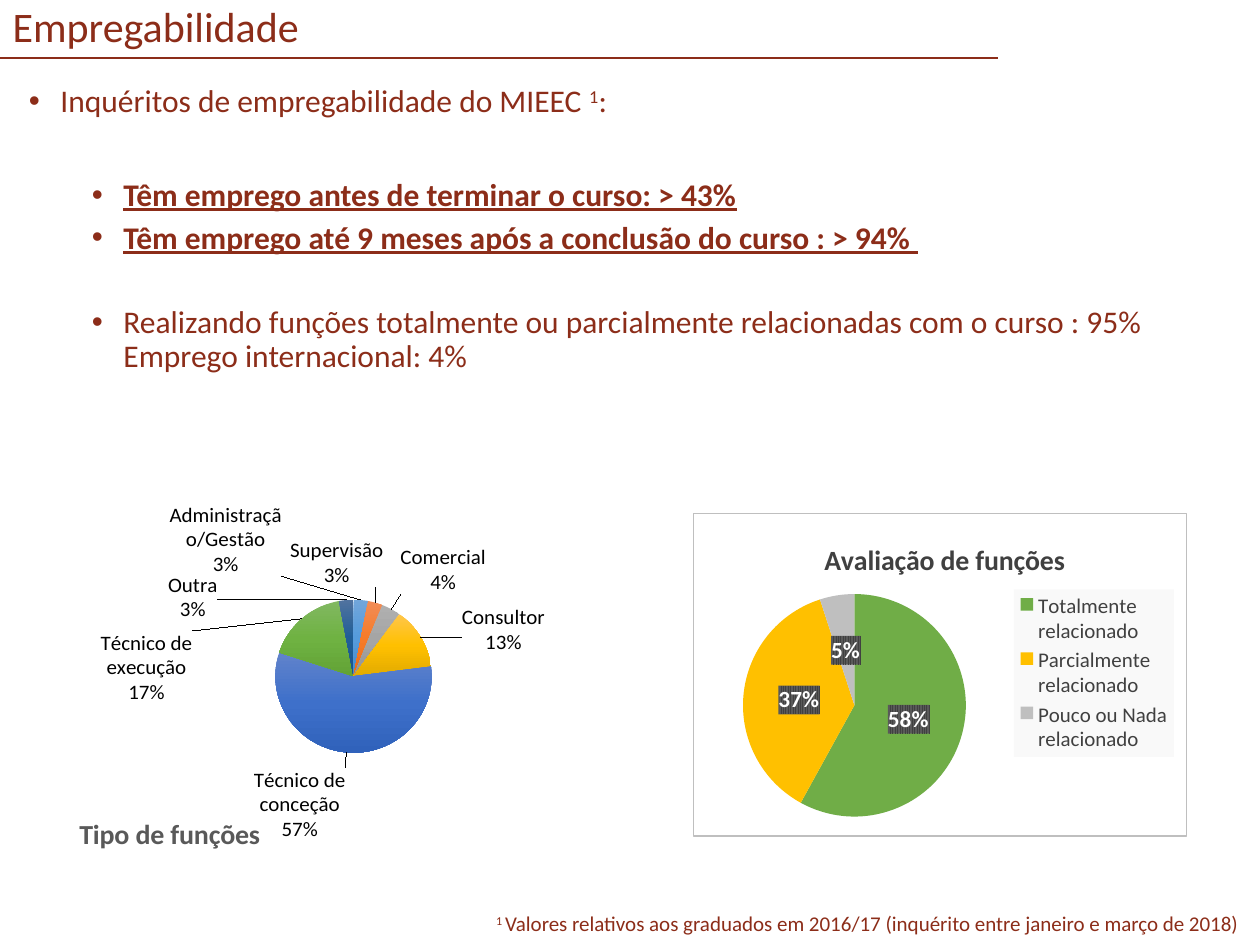
from copy import deepcopy

from pptx import Presentation
from pptx.chart.data import CategoryChartData
from pptx.dml.color import RGBColor
from pptx.enum import chart as ch, shapes, text
from pptx.oxml import parse_xml
from pptx.oxml.ns import nsdecls
from pptx.util import Inches, Pt

# Content
RED, FONT = "8C2D19", "Calibri"
TITLE = "Empregabilidade"
# level, space before, bold and underlined, runs as (text, superscript)
BULLETS = [
    (0, 0, False, [("Inquéritos de empregabilidade do MIEEC ", False), ("1", True), (":", False)]),
    (1, 34, True, [("Têm emprego antes de terminar o curso: > 43%", False)]),
    (1, 5, True, [("Têm emprego até 9 meses após a conclusão do curso : > 94% ", False)]),
    (1, 29, False, [("Realizando funções totalmente ou parcialmente relacionadas com o curso : 95% "
                     "Emprego internacional: 4%", False)]),
]
FOOTNOTE = [("1 ", True),
            ("Valores relativos aos graduados em 2016/17 (inquérito entre janeiro e março de 2018)", False)]
# category, percentage, gradient, label offset as a share of the chart
ROLES = [
    ("Administração/Gestão", 3, ("71A6DB", "559BDB", "448ACA"), (-0.33, -0.04)),
    ("Supervisão", 3, ("F18C57", "F67B28", "E56C19"), (-0.15, -0.02)),
    ("Comercial", 4, ("AFAFAF", "A5A5A5", "939393"), (0.01, -0.02)),
    ("Consultor", 13, ("FFC64B", "FFC000", "E3AB00"), (0.06, 0.05)),
    ("Técnico de conceção", 57, ("6183CB", "3E70CA", "3062BB"), (0, 0.02)),
    ("Técnico de execução", 17, ("81B861", "6FB242", "62A336"), (-0.18, 0.22)),
    ("Outra", 3, ("51739F", "205E97", "17548B"), (-0.22, 0.07)),
]
RATINGS = [
    ("Totalmente relacionado", 58, "70AD47"),
    ("Parcialmente relacionado", 37, "FFC000"),
    ("Pouco ou Nada relacionado", 5, "BFBFBF"),
]


def rgb(value):
    return RGBColor.from_string(value)


def style(font, size, color, bold=None):
    font.name, font.size, font.bold = FONT, Pt(size), bold
    font.color.rgb = rgb(color)


def add_runs(p, runs, size, bold=False):
    for words, superscript in runs:
        r = p.add_run()
        r.text = words
        style(r.font, size, RED, bold)
        r.font.underline = bold
        if superscript:
            r.font._element.set("baseline", "30000")


def place(shape, *box):
    shape.left, shape.top, shape.width, shape.height = map(Inches, box)


def layout_xml(x, y, w=None, h=None, inner=False, edge=True):
    parts = '<c:layoutTarget val="inner"/>' if inner else ""
    if edge:
        parts += '<c:xMode val="edge"/><c:yMode val="edge"/>'
    for tag, value in zip("xywh", (x, y, w, h)):
        if value is not None:
            parts += f'<c:{tag} val="{value}"/>'
    return parse_xml(f'<c:layout {nsdecls("c")}><c:manualLayout>{parts}</c:manualLayout></c:layout>')


def set_layout(parent, index, layout):
    for old in parent.xpath("./c:layout"):
        parent.remove(old)
    parent.insert(index, layout)


def add_pie(s, box, rows, title, title_color, title_at, pie_at):
    data = CategoryChartData()
    data.categories = [row[0] for row in rows]
    data.add_series("Series 1", [row[1] for row in rows])
    chart = s.shapes.add_chart(ch.XL_CHART_TYPE.PIE, *map(Inches, box), data).chart
    style(chart.font, 10, "000000")
    chart.has_legend = False
    chart.has_title = True
    chart.chart_title.text_frame.text = title
    style(chart.chart_title.text_frame.paragraphs[0].runs[0].font, 16, title_color, True)
    set_layout(chart.chart_title._element, 1, layout_xml(*title_at))
    set_layout(chart._chartSpace.xpath(".//c:plotArea")[0], 0, layout_xml(*pie_at, inner=True))
    plot = chart.plots[0]
    plot.vary_by_categories = True
    labels = plot.series[0].data_labels
    labels.show_percentage, labels.show_value = True, False
    labels.number_format, labels.number_format_is_linked = "0%", False
    return chart, plot.series[0], labels


prs = Presentation()
prs.slide_width, prs.slide_height = Inches(10), Inches(7.5)
s = prs.slides.add_slide(prs.slide_layouts[1])

# Title and rule
title, body = s.placeholders
place(title, 0, 0, 10, 0.46)
tf = title.text_frame
tf.text = TITLE
tf.auto_size, tf.vertical_anchor = text.MSO_AUTO_SIZE.NONE, text.MSO_ANCHOR.MIDDLE
p = tf.paragraphs[0]
p.alignment, p.line_spacing = text.PP_ALIGN.LEFT, 0.9
style(p.runs[0].font, 24, RED)
rule = s.shapes.add_connector(shapes.MSO_CONNECTOR.STRAIGHT, 0, Inches(0.46), Inches(7.92), Inches(0.46))
rule.line.color.rgb, rule.line.width = rgb(RED), Pt(1.5)
rule._element.spPr.append(parse_xml(f'<a:effectLst {nsdecls("a")}/>'))

# Bulleted list
place(body, 0.13, 0.63, 9.71, 6.68)
tf = body.text_frame
tf.auto_size = text.MSO_AUTO_SIZE.NONE
for i, (level, before, strong, runs) in enumerate(BULLETS):
    p = tf.add_paragraph() if i else tf.paragraphs[0]
    p.level, p.line_spacing, p.space_before = level, 0.9, Pt(before)
    pPr = p._p.get_or_add_pPr()
    pPr.set("marL", str(Inches(0.25 + 0.5 * level)))
    pPr.set("indent", str(Inches(-0.25)))
    pPr.append(parse_xml(f'<a:buFont {nsdecls("a")} typeface="Arial"/>'))
    pPr.append(parse_xml(f'<a:buChar {nsdecls("a")} char="•"/>'))
    add_runs(p, runs, 18, strong)

# Footnote
note = s.shapes.add_textbox(*map(Inches, (3.84, 7.18, 6.16, 0.3)))
note.text_frame.word_wrap = False
add_runs(note.text_frame.paragraphs[0], FOOTNOTE, 12)

# Role types: gradient slices, labels moved outwards
chart, series, labels = add_pie(s, (0.45, 3.48, 4.62, 3.35), ROLES, "Tipo de funções", "595959",
                                (0.03, 0.9), (0.375, 0.39, 0.27, 0.37))
style(labels.font, 12, "000000")
labels.show_category_name = True
labels.position = ch.XL_LABEL_POSITION.OUTSIDE_END
dLbls = labels._element
txPr = dLbls.xpath("./c:txPr")[0]
for i, (_, _, colors, offset) in enumerate(ROLES):
    fill = series.points[i].format.fill
    fill.gradient()
    fill.gradient_angle = 270
    stops = series._element.xpath(f"./c:dPt[c:idx/@val='{i}']//a:gsLst")[0]
    stops.insert(1, deepcopy(stops[0]))
    for stop, color, position in zip(fill.gradient_stops, colors, (0, 0.5, 1)):
        stop.color.rgb, stop.position = rgb(color), position
    label = parse_xml(
        f'<c:dLbl {nsdecls("c")}><c:idx val="{i}"/><c:dLblPos val="outEnd"/>'
        '<c:showLegendKey val="0"/><c:showVal val="0"/><c:showCatName val="1"/><c:showSerName val="0"/>'
        '<c:showPercent val="1"/><c:showBubbleSize val="0"/><c:separator>\n</c:separator></c:dLbl>')
    label.insert(1, layout_xml(*offset, edge=False))
    label.insert(2, deepcopy(txPr))
    dLbls.insert(i, label)

# Role ratings: framed chart with legend
chart, series, labels = add_pie(s, (5.5, 4.07, 3.92, 2.57), RATINGS, "Avaliação de funções", "404040",
                                (0.255, 0.07), (0.1, 0.25, 0.453, 0.69))
style(labels.font, 13.3, "FFFFFF", True)
labels.position = ch.XL_LABEL_POSITION.CENTER
labels._element.xpath("./c:txPr")[0].addprevious(parse_xml(
    f'<c:spPr {nsdecls("c", "a")}><a:pattFill prst="narVert"><a:fgClr><a:srgbClr val="404040"/></a:fgClr>'
    '<a:bgClr><a:srgbClr val="595959"/></a:bgClr></a:pattFill></c:spPr>'))
for i, (_, _, color) in enumerate(RATINGS):
    fill = series.points[i].format.fill
    fill.solid()
    fill.fore_color.rgb = rgb(color)
chart.has_legend = True
legend = chart.legend
legend.position, legend.include_in_layout = ch.XL_LEGEND_POSITION.RIGHT, False
style(legend.font, 12, "404040")
set_layout(legend._element, 1, layout_xml(0.65, 0.235, 0.325, 0.52))
legend._element.xpath("./c:txPr")[0].addprevious(parse_xml(
    f'<c:spPr {nsdecls("c", "a")}><a:solidFill><a:srgbClr val="F9F9F9"/></a:solidFill></c:spPr>'))
chart._chartSpace.xpath("./c:chart")[0].addnext(parse_xml(
    f'<c:spPr {nsdecls("c", "a")}><a:solidFill><a:srgbClr val="FFFFFF"/></a:solidFill>'
    '<a:ln w="9525"><a:solidFill><a:srgbClr val="BFBFBF"/></a:solidFill></a:ln></c:spPr>'))

prs.save("out.pptx")
